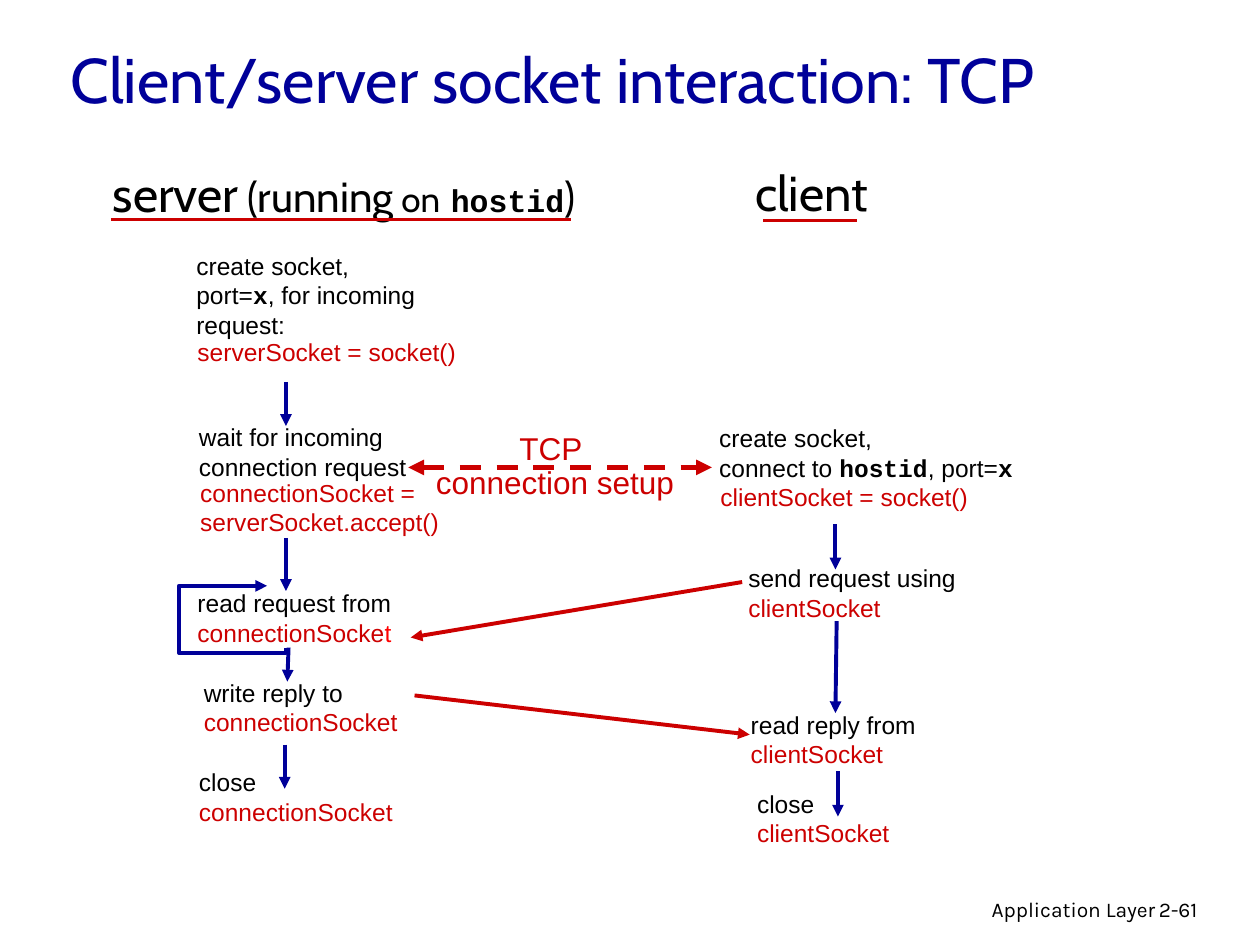
"""Build a slide on the TCP socket interaction between client and server."""
import pptx
import pptx.dml.color
import pptx.enum.dml
import pptx.enum.shapes
import pptx.enum.text
import pptx.oxml
import pptx.oxml.ns
import pptx.util

Pt = pptx.util.Pt
ALIGN = pptx.enum.text.PP_ALIGN
COLORS = {"navy": "000099", "red": "CC0000", "bright": "FF0000", "black": "000000"}
TWO_LINES, ONE_LINE = 41, 24.5

STYLES = {
    "plain": ("Arial", 14, "black"),
    "call": ("Arial", 14, "red"),
    "bright": ("Arial", 14, "bright"),
    "code": ("Courier New", 14, "black"),
    "title": ("Cabin", 36, "navy"),
    "heading": ("Cabin", 28, "black"),
    "heading note": ("Cabin", 24, "black"),
    "heading on": ("Cabin", 20, "black"),
    "heading gap": ("Comic Neue", 18, "black"),
    "heading code": ("Courier New", 18, "black"),
    "setup": ("Arial", 18, "red"),
    "footer": ("Karla", 12, "black"),
}

NARROW_STEPS = [
    (106.6, 237.6, 133, [[("wait for incoming", "plain")], [("connection request", "plain")]]),
    (403.9, 238.3, 182.2, [[("create socket,", "plain")],
                           [("connect to ", "plain"), ("hostid", "code"),
                            (", port=", "plain"), ("x", "code")]]),
    (420.5, 318.2, 133.2, [[("send request using", "plain")], [("clientSocket", "call")]]),
    (105.8, 332.6, 125.3, [[("read request from", "plain")],
                           [("connectionSocke", "call"), ("t", "bright")]]),
    (109.4, 383.8, 125.3, [[("write reply to", "plain")], [("connectionSocket", "call")]]),
    (106.6, 434.9, 125.3, [[("close", "plain")], [("connectionSocket", "call")]]),
    (421.9, 401.8, 108.7, [[("read reply from", "plain")], [("clientSocket", "call")]]),
    (425.5, 447.1, 90, [[("close", "plain")], [("clientSocket", "call")]]),
]

WRAPPED_STEPS = [
    (105.1, 139.7, 151.9, 57.6, [[("create socket,", "plain")],
                                 [("port=", "plain"), ("x", "code"),
                                  (", for incoming request:", "plain")]]),
    (105.8, 188.6, 185, ONE_LINE, [[("serverSocket = socket()", "call")]]),
    (107.3, 269.3, 165, TWO_LINES, [[("connectionSocket =", "call")],
                                    [("serverSocket.accept()", "call")]]),
    (404.6, 271.4, 185.8, ONE_LINE, [[("clientSocket = socket()", "call")]]),
]

SERVER_HEADING = [("server", "heading"), (" (running", "heading note"), (" on", "heading on"),
                  (" ", "heading gap"), ("hostid", "heading code"), (")", "heading note")]

FLOW_ARROWS = [
    (163.4, 218.2, 163.4, 243.4), (163.4, 307.4, 163.4, 337.7),
    (164.9, 370.1, 164.2, 389.5), (162.7, 425.5, 162.7, 450.7),
    (477.4, 299.5, 477.4, 325.4), (478.1, 355, 477.4, 407.5),
    (478.8, 440.6, 478.8, 466.6),
]
MESSAGE_ARROWS = [(424.1, 332.6, 234.7, 364.3), (236.9, 397.4, 428.4, 419.8)]
UNDERLINES = [(63.4, 125.3, 326.2, 125.3), (436.3, 126, 489.6, 126)]
LOOP_POINTS = [(163.4, 370.1), (163.4, 373), (102.2, 373), (102.2, 334.8), (152.6, 334.8)]


def rgb(name):
    """Return a palette colour."""
    return pptx.dml.color.RGBColor.from_string(COLORS[name])


def add_text(slide, left, top, width, height, lines, wrap=True, grow=True,
             anchor="MIDDLE", align=ALIGN.LEFT, spacing=None):
    """Add a text box whose lines are lists of (text, style) pairs."""
    frame = slide.shapes.add_textbox(Pt(left), Pt(top), Pt(width), Pt(height)).text_frame
    frame.word_wrap = wrap
    frame.vertical_anchor = pptx.enum.text.MSO_ANCHOR[anchor]
    if grow:
        frame.auto_size = pptx.enum.text.MSO_AUTO_SIZE.SHAPE_TO_FIT_TEXT
    for index, line in enumerate(lines):
        paragraph = frame.add_paragraph() if index else frame.paragraphs[0]
        paragraph.alignment = align
        if spacing:
            paragraph.line_spacing = spacing
        for text, style in line:
            run = paragraph.add_run()
            run.text = text
            face, size, color = STYLES[style]
            run.font.name = face
            run.font.size = Pt(size)
            run.font.bold = face == "Courier New"
            run.font.color.rgb = rgb(color)


def style_line(shape, color, weight, ends=(), dashed=False):
    """Set the stroke of a line and put triangles on the named ends."""
    shape.line.color.rgb = rgb(color)
    shape.line.width = Pt(weight)
    if dashed:
        shape.line.dash_style = pptx.enum.dml.MSO_LINE.DASH
    stroke = shape.line._get_or_add_ln()
    for end in ends:
        tip = pptx.oxml.parse_xml(f'<a:{end} {pptx.oxml.ns.nsdecls("a")} type="triangle"/>')
        stroke.append(tip)


def add_line(slide, points, color, weight, ends=(), dashed=False):
    """Add a straight line given as x1, y1, x2, y2."""
    line = slide.shapes.add_connector(
        pptx.enum.shapes.MSO_CONNECTOR.STRAIGHT, *(Pt(value) for value in points))
    style_line(line, color, weight, ends, dashed)
    line._element.spPr.append(
        pptx.oxml.parse_xml(f'<a:effectLst {pptx.oxml.ns.nsdecls("a")}/>'))


def add_loop(slide):
    """Add the bent arrow that leads back to reading a request."""
    start, *rest = [(Pt(x), Pt(y)) for x, y in LOOP_POINTS]
    builder = slide.shapes.build_freeform(*start)
    builder.add_line_segments(rest, close=False)
    loop = builder.convert_to_shape()
    loop.shadow.inherit = False
    loop.fill.background()
    style_line(loop, "navy", 2.25, ["tailEnd"])


def main():
    """Build and save the slide."""
    deck = pptx.Presentation()
    deck.slide_width, deck.slide_height = Pt(720), Pt(540)
    slide = deck.slides.add_slide(deck.slide_layouts[6])

    add_text(slide, 439.2, 509, 228.2, 22.3, [[("Application Layer", "footer")]],
             grow=False, anchor="TOP", align=ALIGN.RIGHT)
    add_text(slide, 655.2, 509, 53.3, 21.6, [[("2-61", "footer")]], grow=False, anchor="TOP")
    add_text(slide, 33.1, 7.2, 612, 74.9,
             [[("Client/server socket interaction: TCP", "title")]], grow=False)
    add_text(slide, 42.5, 90, 308.2, TWO_LINES, [SERVER_HEADING], wrap=False, align=ALIGN.CENTER)
    add_text(slide, 421.2, 89.3, 85, TWO_LINES, [[("client", "heading")]],
             wrap=False, align=ALIGN.CENTER)

    for left, top, width, lines in NARROW_STEPS:
        add_text(slide, left, top, width, TWO_LINES, lines, wrap=False)
    for step in WRAPPED_STEPS:
        add_text(slide, *step)

    for points in UNDERLINES:
        add_line(slide, points, "red", 1.5)
    for points in FLOW_ARROWS:
        add_line(slide, points, "navy", 2.25, ["tailEnd"])
    for points in MESSAGE_ARROWS:
        add_line(slide, points, "red", 2.25, ["tailEnd"])
    add_loop(slide)

    add_line(slide, (233.3, 267.1, 406.8, 267.1), "red", 3, ["headEnd", "tailEnd"], dashed=True)
    add_text(slide, 241.9, 244.1, 150.5, 46.1,
             [[("TCP ", "setup")], [("connection setup", "setup")]],
             wrap=False, align=ALIGN.CENTER, spacing=0.9)
    deck.save("out.pptx")


if __name__ == "__main__":
    main()
